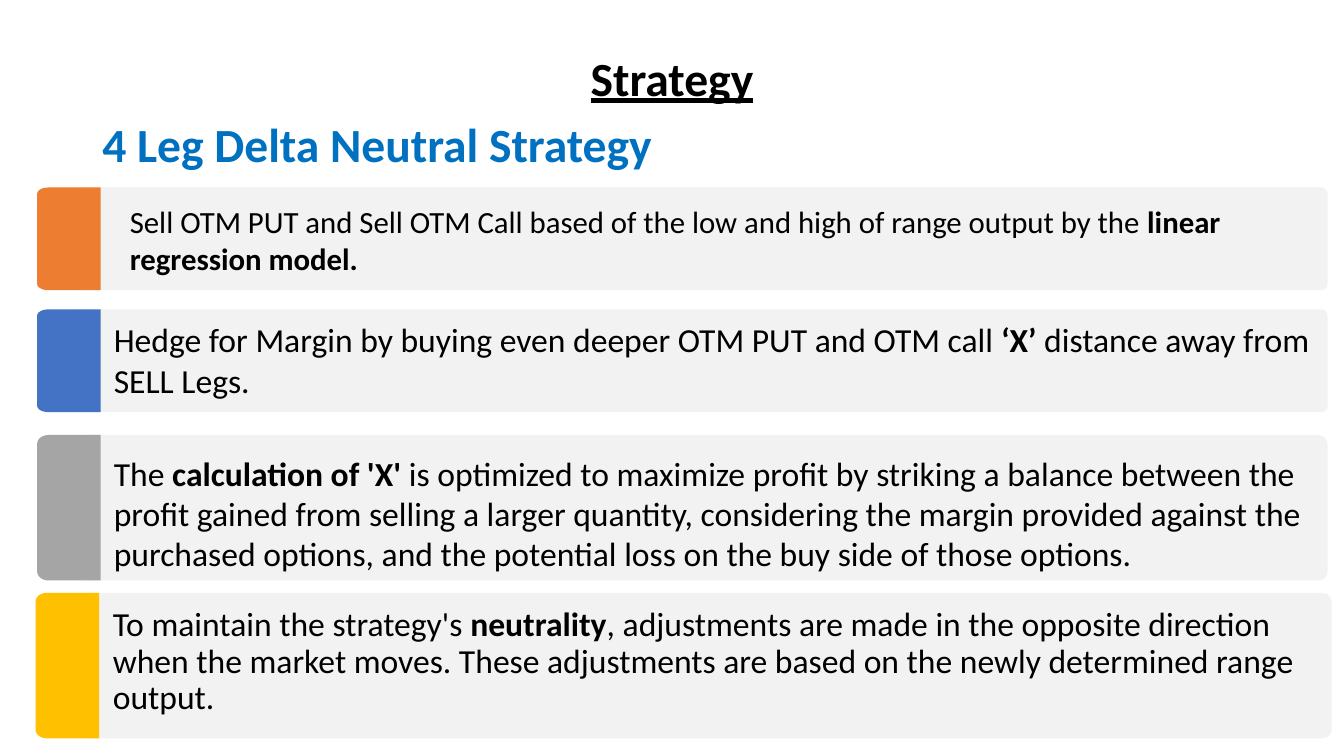
from dataclasses import dataclass
from math import cos, pi, sin

from lxml.etree import SubElement
from pptx import Presentation
from pptx.dml.color import RGBColor as RGB
from pptx.enum.shapes import MSO_SHAPE as Preset
from pptx.enum.text import MSO_ANCHOR as Anchor, MSO_AUTO_SIZE as AutoSize, PP_ALIGN as Align
from pptx.oxml.ns import qn
from pptx.util import Pt


@dataclass(frozen=True)
class Theme:
    font: str = "Calibri"
    heading_size: float = 34
    first_step_size: float = 22
    step_size: float = 24
    ink: str = "000000"
    accent: str = "0070C0"
    panel: str = "F2F2F2"
    sell: str = "ED7D31"
    hedge: str = "4472C4"
    distance: str = "A5A5A5"
    adjust: str = "FFC000"


THEME = Theme()
PANEL_WIDTH = 895.7
TAB_WIDTH = 45.4
CORNER = 0.061
ARC_STEPS = 8

PANELS = [
    (52.6, 26.6, 133.9, 73.4, THEME.sell),
    (52.6, 26.6, 221, 73.4, THEME.hedge),
    (52.6, 26.6, 310.7, 103.9, THEME.distance),
    (55.6, 25.4, 423.5, 103.9, THEME.adjust),
]

STEPS = [
    ((85.7, 141.1, 856.8, 60.5), THEME.first_step_size, [
        ("Sell OTM PUT and Sell OTM Call based of the low and high of range output by the ", False),
        ("linear regression model.", True),
    ]),
    ((74.2, 224.6, 869, 65.5), THEME.step_size, [
        ("Hedge for Margin by buying even deeper OTM PUT and OTM call ", False),
        ("‘X’", True),
        (" distance away from SELL Legs.", False),
    ]),
    ((74.2, 319.7, 874.8, 94.3), THEME.step_size, [
        ("The ", False),
        ("calculation of 'X' ", True),
        ("is optimized to maximize profit by striking a balance between the profit gained "
         "from selling a larger quantity, considering the margin provided against the "
         "purchased options, and the potential loss on the buy side of those options.", False),
    ]),
]

NEUTRALITY = [
    ("To maintain the strategy's ", False),
    ("neutrality", True),
    (", adjustments are made in the opposite direction when the market moves. These "
     "adjustments are based on the newly determined range output.", False),
]


def place(shape, left, top, width, height):
    shape.left, shape.top = Pt(left), Pt(top)
    shape.width, shape.height = Pt(width), Pt(height)


def paint(shape, color):
    shape.fill.solid()
    shape.fill.fore_color.rgb = RGB.from_string(color)
    shape.line.fill.background()
    shape.shadow.inherit = False


def write(paragraph, runs, size, color=THEME.ink, underline=False):
    for text, bold in runs:
        run = paragraph.add_run()
        run.text = text
        run.font.name = THEME.font
        run.font.size = Pt(size)
        run.font.bold = bold
        run.font.underline = underline
        run.font.color.rgb = RGB.from_string(color)


def add_panel(slide, left, tab_left, top, height, color):
    panel = slide.shapes.add_shape(
        Preset.ROUNDED_RECTANGLE, Pt(left), Pt(top), Pt(PANEL_WIDTH), Pt(height))
    panel.adjustments[0] = CORNER
    paint(panel, THEME.panel)

    radius_x, radius_y = 8, CORNER * height
    right, bottom = tab_left + TAB_WIDTH, top + height
    angles = [pi / 2 * step / ARC_STEPS for step in range(ARC_STEPS + 1)]
    upper = [(tab_left + radius_x * (1 - sin(a)), top + radius_y * (1 - cos(a))) for a in angles]
    lower = [(x, top + bottom - y) for x, y in reversed(upper)]
    outline = [(Pt(x), Pt(y)) for x, y in [(right, top), *upper, *lower, (right, bottom)]]
    builder = slide.shapes.build_freeform(*outline[0])
    builder.add_line_segments(outline[1:], close=True)
    paint(builder.convert_to_shape(), color)


def add_text(slide, box, size, runs, color=THEME.ink):
    frame = slide.shapes.add_textbox(*map(Pt, box)).text_frame
    frame.word_wrap = True
    frame.auto_size = AutoSize.SHAPE_TO_FIT_TEXT
    write(frame.paragraphs[0], runs, size, color)


def fill_title(title):
    place(title, 66, 28.8, 828, 57.6)
    frame = title.text_frame
    frame.auto_size = AutoSize.NONE
    frame.vertical_anchor = Anchor.MIDDLE
    heading = frame.paragraphs[0]
    heading.alignment = Align.CENTER
    heading.line_spacing = 0.9
    write(heading, [("Strategy", True)], THEME.heading_size, underline=True)


def fill_body(body):
    place(body, 73.4, 430.6, 879.1, 116.6)
    frame = body.text_frame
    frame.auto_size = AutoSize.NONE
    paragraph = frame.paragraphs[0]
    paragraph.line_spacing = 0.9
    paragraph.space_before = Pt(10)
    write(paragraph, NEUTRALITY, THEME.step_size)
    properties = paragraph._p.get_or_add_pPr()
    properties.set("marL", "0")
    properties.set("indent", "0")
    SubElement(properties, qn("a:buNone"))
    body.element.getparent().append(body.element)


def main():
    deck = Presentation()
    deck.slide_width, deck.slide_height = Pt(960), Pt(540)
    slide = deck.slides.add_slide(deck.slide_layouts[1])
    fill_title(slide.shapes.title)
    for panel in PANELS:
        add_panel(slide, *panel)
    for step in STEPS:
        add_text(slide, *step)
    fill_body(slide.placeholders[1])
    add_text(slide, (66, 78.5, 441.4, 48.2), THEME.heading_size,
             [("4 Leg Delta Neutral Strategy", True)], THEME.accent)
    deck.save("out.pptx")


if __name__ == "__main__":
    main()
